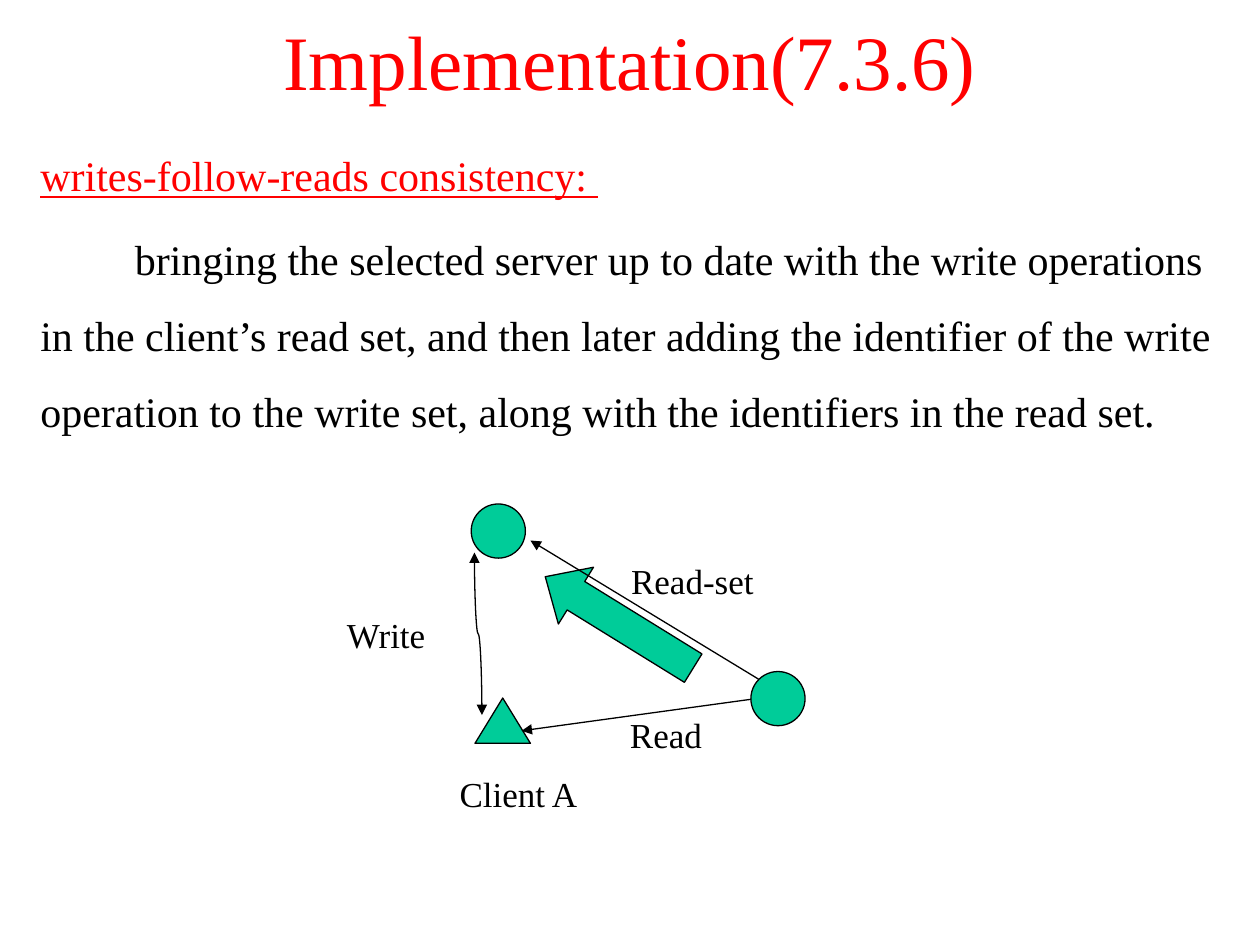
import pptx
import pptx.dml.color
import pptx.enum.shapes
import pptx.enum.text
import pptx.oxml.ns
import pptx.util
from lxml import etree

Inches = pptx.util.Inches
Pt = pptx.util.Pt
Shape = pptx.enum.shapes.MSO_SHAPE
Connector = pptx.enum.shapes.MSO_CONNECTOR
Align = pptx.enum.text.PP_ALIGN
Anchor = pptx.enum.text.MSO_ANCHOR
qn = pptx.oxml.ns.qn

RED, BLACK, GREEN = "FF0000", "000000", "00CC99"


def color(value):
    return pptx.dml.color.RGBColor.from_string(value)


def apply(target, formats):
    for name, value in formats.items():
        setattr(target, name, value)


def lengths(*values):
    return [Inches(value) for value in values]


class SlideBuilder:
    font = "Times New Roman"
    line_width = Pt(0.75)

    def __init__(self, page):
        self.page = page

    def place(self, box, bounds):
        apply(box, dict(zip(("left", "top", "width", "height"), lengths(*bounds))))

    def add_text(self, para, text, size, hue, underline=False, **formats):
        span = para.add_run()
        span.text = text
        apply(span.font, {"name": self.font, "size": Pt(size), "underline": underline})
        span.font.color.rgb = color(hue)
        apply(para, formats)

    def title(self, text, bounds):
        box = self.page.shapes.title
        self.place(box, bounds)
        apply(box.text_frame, {"vertical_anchor": Anchor.MIDDLE,
                               "auto_size": pptx.enum.text.MSO_AUTO_SIZE.NONE})
        self.add_text(box.text_frame.paragraphs[0], text, 44, RED, alignment=Align.CENTER)

    def body(self, heading, text, bounds):
        box = self.page.placeholders[1]
        self.place(box, bounds)
        frame = box.text_frame
        frame.auto_size = pptx.enum.text.MSO_AUTO_SIZE.NONE
        rows = (
            (frame.paragraphs[0], heading, RED, True, 0, 0),
            (frame.add_paragraph(), text, BLACK, False, 0.75, 4.8),
        )
        for para, words, hue, underline, indent, before in rows:
            properties = para._p.get_or_add_pPr()
            properties.set("marL", "0")
            properties.set("indent", str(Inches(indent)))
            etree.SubElement(properties, qn("a:buNone"))
            self.add_text(para, words, 24, hue, underline,
                          line_spacing=1.5, space_before=Pt(before))

    def label(self, text, bounds):
        box = self.page.shapes.add_textbox(*lengths(*bounds))
        box.text_frame.word_wrap = True
        self.add_text(box.text_frame.paragraphs[0], text, 20, BLACK, alignment=Align.CENTER)

    def shape(self, kind, bounds, rotation=0, adjustments=()):
        box = self.page.shapes.add_shape(kind, *lengths(*bounds))
        box.shadow.inherit = False
        box.rotation = rotation
        box.fill.solid()
        box.fill.fore_color.rgb = color(GREEN)
        box.line.color.rgb = color(BLACK)
        box.line.width = self.line_width
        for index, value in enumerate(adjustments):
            box.adjustments[index] = value

    def arrow(self, start, end, kind=Connector.STRAIGHT, rotation=0, ends=("tailEnd",)):
        link = self.page.shapes.add_connector(kind, *lengths(*start, *end))
        link.line.color.rgb = color(BLACK)
        link.line.width = self.line_width
        properties = link._element.spPr
        outline = properties.find(qn("a:ln"))
        for name in ends:
            etree.SubElement(outline, qn(f"a:{name}"), type="triangle")
        etree.SubElement(properties, qn("a:effectLst"))
        if rotation:
            properties.find(qn("a:xfrm")).set("rot", str(rotation * 60000))


def main():
    deck = pptx.Presentation()
    apply(deck, {"slide_width": Inches(10), "slide_height": Inches(7.5)})
    slide = SlideBuilder(deck.slides.add_slide(deck.slide_layouts[1]))

    slide.title("Implementation(7.3.6)", (0, 0, 10, 0.95))
    slide.body(
        "writes-follow-reads consistency: ",
        "bringing the selected server up to date with the write operations in the "
        "client’s read set, and then later adding the identifier of the write operation "
        "to the write set, along with the identifiers in the read set.",
        (0.22, 0.94, 9.55, 2.75),
    )

    for left, top in ((3.74, 4), (5.96, 5.33)):
        slide.shape(Shape.OVAL, (left, top, 0.43, 0.43))
    slide.shape(Shape.UP_ARROW, (4.65, 4.25, 0.53, 1.38), 301.7, (0.5, 0.54))
    slide.shape(Shape.ISOSCELES_TRIANGLE, (3.77, 5.54, 0.44, 0.36))

    for text, bounds in (
        ("Client A", (3.3, 6.08, 1.63, 0.33)),
        ("Read-set", (4.85, 4.39, 1.29, 0.44)),
        ("Read", (4.79, 5.61, 0.99, 0.33)),
        ("Write", (2.55, 4.82, 1.03, 0.34)),
    ):
        slide.label(text, bounds)

    slide.arrow((5.96, 5.55), (4.14, 5.8))
    slide.arrow((6.02, 5.39), (4.21, 4.29))
    slide.arrow((4.44, 5), (3.15, 5.06), Connector.CURVE, 270, ("headEnd", "tailEnd"))

    deck.save("out.pptx")


if __name__ == "__main__":
    main()
